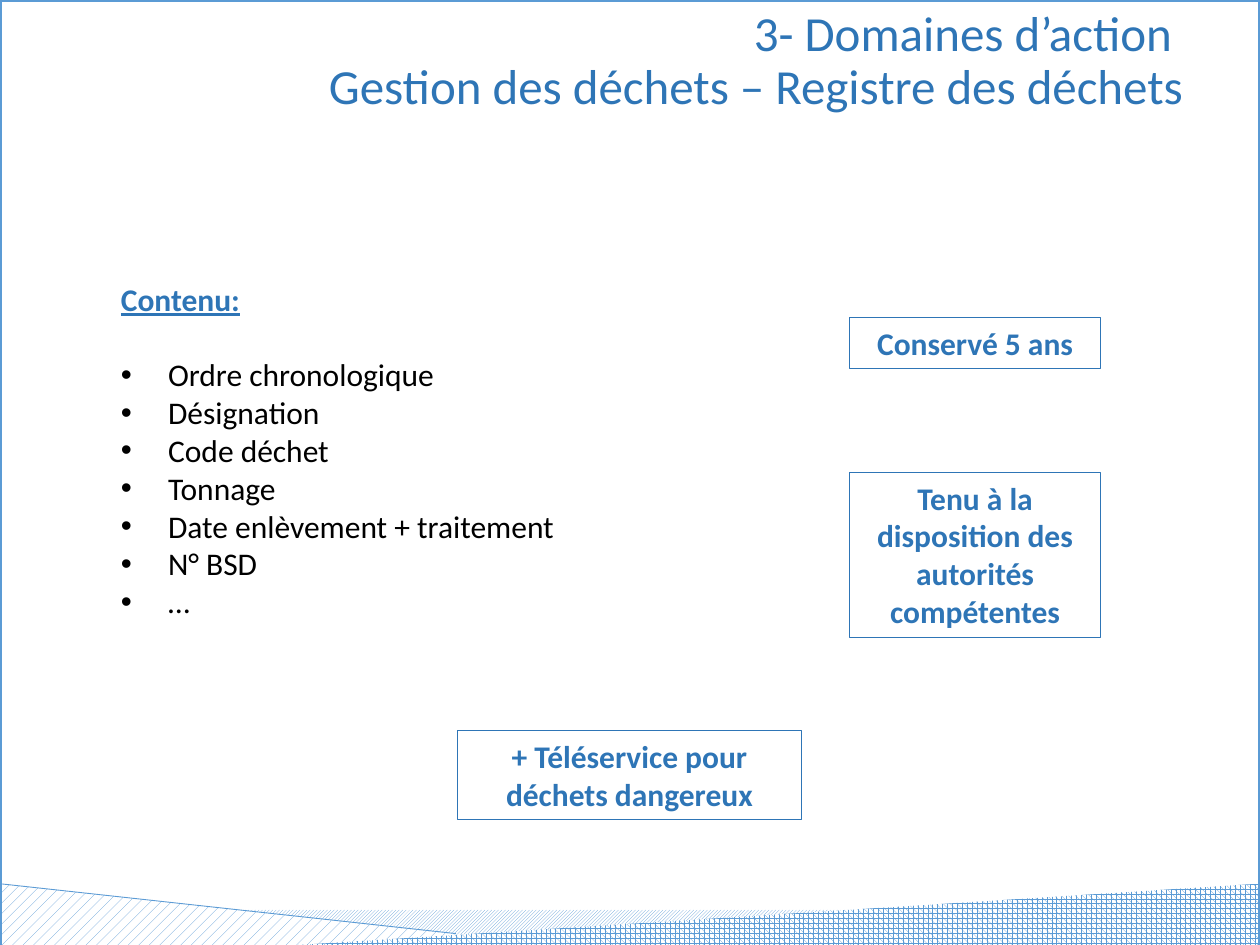
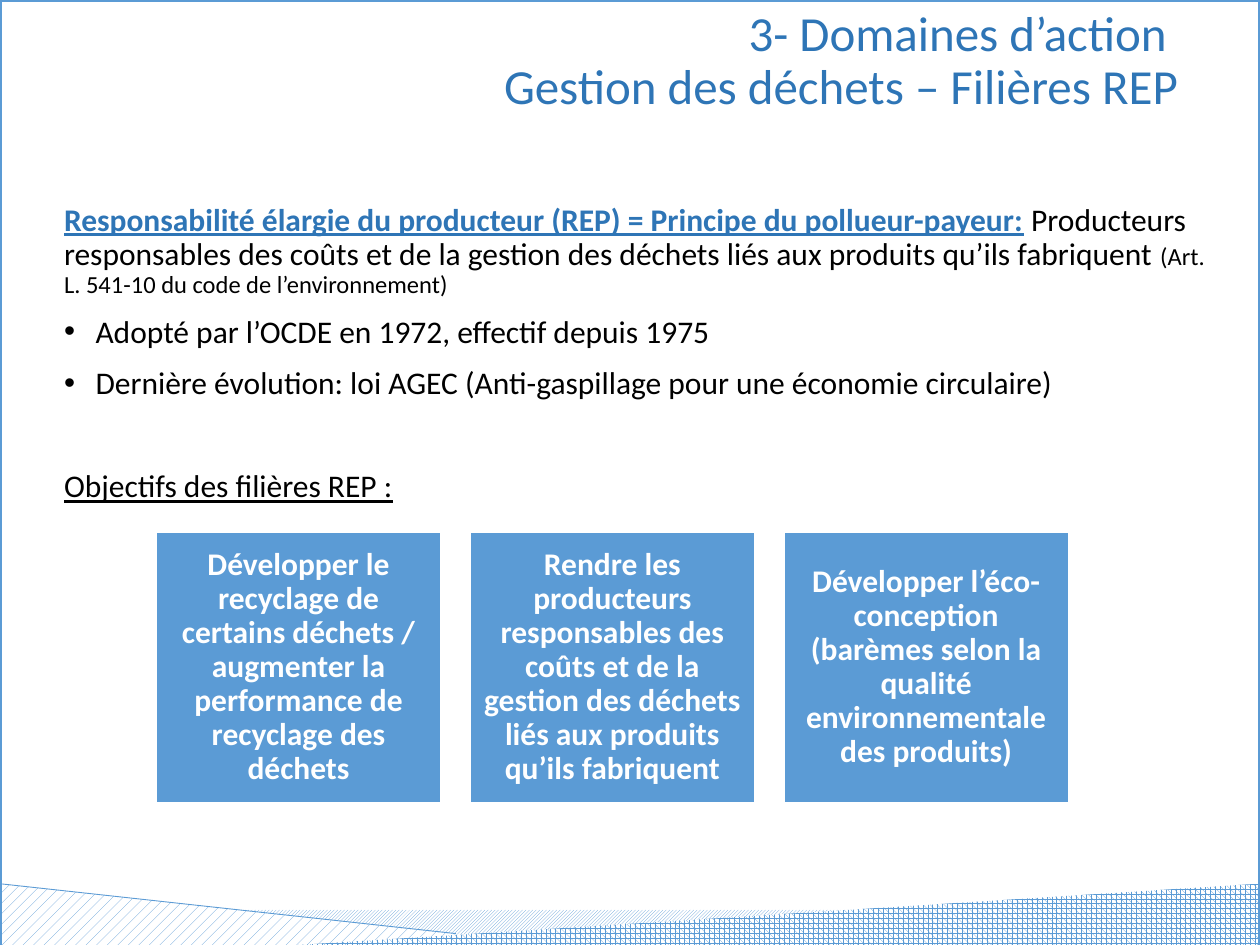
"""Builds two slides on the waste register and the REP schemes."""
from lxml import etree
from pptx import Presentation
from pptx.dml.color import RGBColor
from pptx.enum import dml, shapes, text
from pptx.oxml import ns
from pptx.util import Pt

BLUE = RGBColor(0x2E, 0x75, 0xB6)
LIGHT_BLUE = RGBColor(0x5B, 0x9B, 0xD5)
WHITE = RGBColor(0xFF, 0xFF, 0xFF)
BLACK = RGBColor(0, 0, 0)

WIDTH, HEIGHT = 720, 540
RECTANGLE = shapes.MSO_SHAPE.RECTANGLE
CENTER = {"alignment": text.PP_ALIGN.CENTER}
RIGHT = {"alignment": text.PP_ALIGN.RIGHT}
TIGHT = {"line_spacing": 0.9}
BOLD = {"bold": True}
UNDERLINE = {"underline": True}
TOP = {"vertical_anchor": text.MSO_ANCHOR.TOP}
MIDDLE = {"vertical_anchor": text.MSO_ANCHOR.MIDDLE}
CARD_MARGINS = {f"margin_{side}": Pt(5) for side in ("left", "top", "right", "bottom")}


def apply(target, values):
    for name, value in values.items():
        setattr(target, name, value)


def run(words, color=BLACK, size=18, **values):
    return words, color, {"name": "Calibri", "size": Pt(size), **values}


def line(*runs, indent=0, **values):
    return runs, indent, values


class Deck:
    def __init__(self):
        self.presentation = Presentation()
        apply(self.presentation, {"slide_width": Pt(WIDTH), "slide_height": Pt(HEIGHT)})
        self.slide = None

    def add_slide(self, subtitle, title_width):
        self.slide = self.presentation.slides.add_slide(self.presentation.slide_layouts[6])
        self.decorate()
        heading = run(f"3- Domaines d’action \v{subtitle}", BLUE, 28)
        self.text_box(49.5, 1.5, title_width, 86, lines=[line(heading, **RIGHT, **TIGHT)])

    def decorate(self):
        patterns = dml.MSO_PATTERN
        band = self.rectangle(93.5, 520, 472.5, 23)
        self.pattern(band, patterns.LIGHT_UPWARD_DIAGONAL)
        left = [(0, 505), (314.5, 540), (308, 541.5), (0, 541.5)]
        right = [(163.5, 540.5), (719.5, 505), (720, 541.5), (157.5, 541.5)]
        self.freeform(left, patterns.PERCENT_20)
        self.freeform(right, patterns.SPHERE)
        self.connector(0, 505, 260.5, 533.5)
        self.rectangle(0, 0, WIDTH, 541.5, outline=LIGHT_BLUE, weight=2.25)

    def pattern(self, shape, kind):
        shape.fill.patterned()
        apply(shape.fill, {"pattern": kind})
        shape.fill.fore_color.rgb = LIGHT_BLUE
        shape.fill.back_color.rgb = WHITE

    def freeform(self, points, kind):
        corners = [(Pt(x), Pt(y)) for x, y in points]
        builder = self.slide.shapes.build_freeform(*corners[0])
        builder.add_line_segments(corners[1:])
        shape = builder.convert_to_shape()
        shape.shadow.inherit = False
        shape.line.fill.background()
        self.pattern(shape, kind)

    def connector(self, *ends):
        connector = self.slide.shapes.add_connector(
            shapes.MSO_CONNECTOR.STRAIGHT, *map(Pt, ends))
        connector.line.color.rgb = LIGHT_BLUE
        connector.line.width = Pt(0.5)
        etree.SubElement(connector._element.spPr, ns.qn("a:effectLst"))

    def rectangle(self, *place, fill=None, outline=None, weight=1):
        shape = self.slide.shapes.add_shape(RECTANGLE, *map(Pt, place))
        shape.shadow.inherit = False
        if fill is None:
            shape.fill.background()
        else:
            shape.fill.solid()
            shape.fill.fore_color.rgb = fill
        if outline is None:
            shape.line.fill.background()
        else:
            shape.line.color.rgb = outline
            shape.line.width = Pt(weight)
        return shape

    def text_box(self, *place, lines):
        box = self.slide.shapes.add_textbox(*map(Pt, place))
        self.set_text(box, lines, **TOP)

    def label(self, *place, words):
        shape = self.rectangle(*place, fill=WHITE, outline=BLUE, weight=0.75)
        self.set_text(shape, [line(run(words, BLUE, **BOLD), **CENTER)], **TOP)

    def card(self, *place, words):
        shape = self.rectangle(*place, fill=LIGHT_BLUE, outline=WHITE)
        self.set_text(shape, [line(run(words, WHITE, **BOLD), **CENTER, **TIGHT)],
                      **MIDDLE, **CARD_MARGINS)

    def set_text(self, shape, lines, **frame_values):
        frame = shape.text_frame
        apply(frame, {"word_wrap": True, **frame_values})
        for index, (runs, indent, values) in enumerate(lines):
            paragraph = frame.add_paragraph() if index else frame.paragraphs[0]
            if indent:
                self.bullet(paragraph, indent)
            apply(paragraph, values)
            for words, color, font_values in runs:
                for part_index, part in enumerate(words.split("\v")):
                    if part_index:
                        paragraph.add_line_break()
                    piece = paragraph.add_run()
                    piece.text = part
                    apply(piece.font, font_values)
                    piece.font.color.rgb = color

    def bullet(self, paragraph, indent):
        properties = paragraph._p.get_or_add_pPr()
        properties.set("marL", str(Pt(indent)))
        properties.set("indent", str(-Pt(indent)))
        etree.SubElement(properties, ns.qn("a:buFont"), typeface="Arial")
        etree.SubElement(properties, ns.qn("a:buChar"), char="•")


def register_slide(deck):
    deck.add_slide("Gestion des déchets – Registre des déchets", 633.5)
    contents = ["Ordre chronologique", "Désignation", "Code déchet", "Tonnage",
                "Date enlèvement + traitement", "N° BSD", "…"]
    lines = [line(run("Contenu:", BLUE, **BOLD, **UNDERLINE), space_after=Pt(21.5))]
    lines += [line(run(item), indent=27) for item in contents]
    deck.text_box(62, 156.5, 579, 204, lines=lines)
    deck.label(485.5, 181.5, 143.5, 29, words="Conservé 5 ans")
    deck.label(485.5, 270, 143.5, 94.5, words="Tenu à la disposition des autorités compétentes")
    deck.label(261.5, 417.5, 196.5, 51, words="+ Téléservice pour déchets dangereux")


def producer_slide(deck):
    deck.add_slide("Gestion des déchets – Filières REP", 630.5)
    spaced = {"space_before": Pt(10), **TIGHT}
    principle = "Responsabilité élargie du producteur (REP) = Principe du pollueur-payeur:"
    duty = ("Producteurs responsables des coûts et de la gestion des déchets "
            "liés aux produits qu’ils fabriquent ")
    history = ["Adopté par l’OCDE en 1972, effectif depuis 1975",
               "Dernière évolution: loi AGEC (Anti-gaspillage pour une économie circulaire)"]
    lines = [line(run(principle, BLUE, **BOLD, **UNDERLINE), run(" ", BLUE), run(duty),
                  run("(Art. L. 541-10 du code de l’environnement)", size=14), **TIGHT)]
    lines += [line(run(item), indent=18, **spaced) for item in history]
    lines.append(line(run("Objectifs des filières REP :", **UNDERLINE),
                      space_before=Pt(39.5), **TIGHT))
    deck.text_box(29.5, 113, 671.5, 191, lines=lines)
    goals = ["Développer le recyclage de certains déchets / augmenter la performance "
             "de recyclage des déchets",
             "Rendre les producteurs responsables des coûts et de la gestion des déchets "
             "liés aux produits qu’ils fabriquent",
             "Développer l’éco-conception (barèmes selon la qualité environnementale "
             "des produits)"]
    for column, goal in enumerate(goals):
        deck.card(89.3 + 179.3 * column, 304, 162.7, 154.8, words=goal)


def main():
    deck = Deck()
    register_slide(deck)
    producer_slide(deck)
    deck.presentation.save("out.pptx")


if __name__ == "__main__":
    main()
